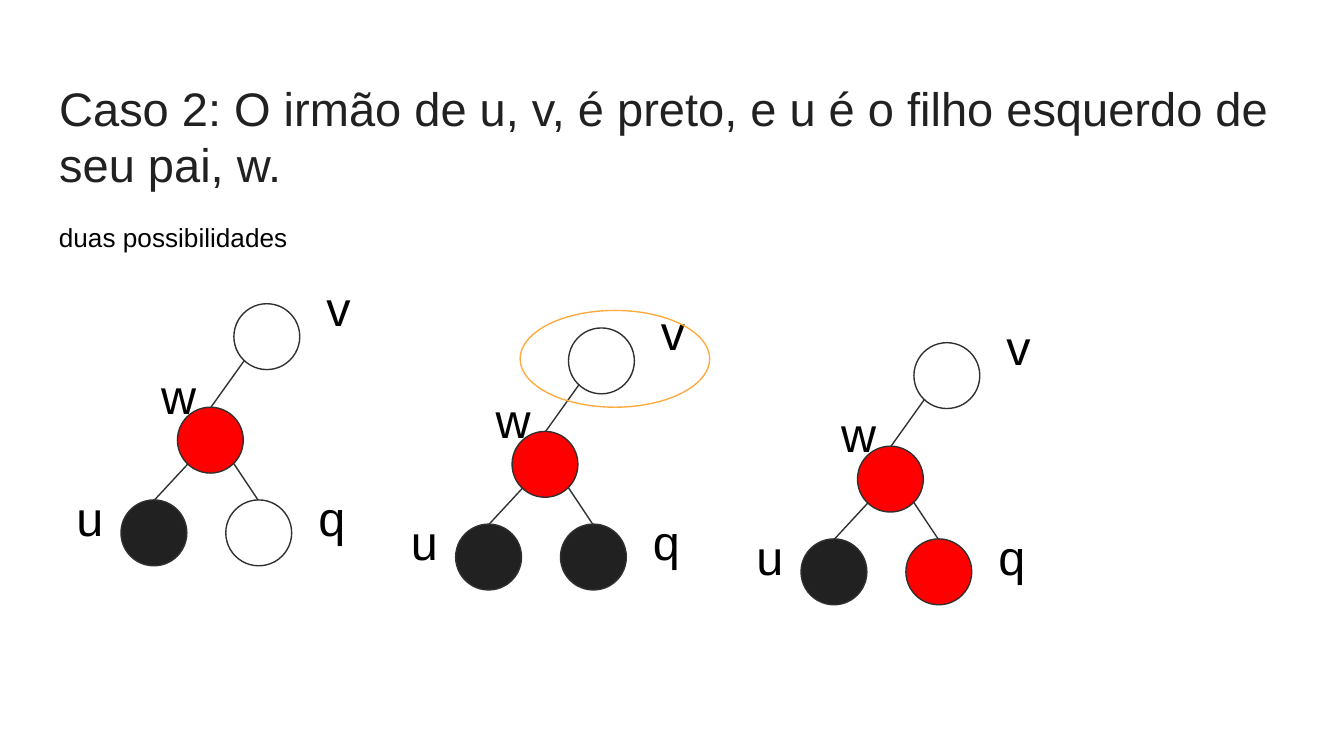
from lxml import etree
from pptx import Presentation
from pptx.dml.color import RGBColor
from pptx.enum.shapes import MSO_CONNECTOR, MSO_SHAPE
from pptx.enum.text import MSO_ANCHOR, MSO_AUTO_SIZE, PP_ALIGN
from pptx.oxml.ns import qn
from pptx.util import Inches, Pt

OVAL = MSO_SHAPE.OVAL
STRAIGHT = MSO_CONNECTOR.STRAIGHT
TOP = MSO_ANCHOR.TOP
LEFT = PP_ALIGN.LEFT
NO_AUTOFIT = MSO_AUTO_SIZE.NONE

COLORS = {
    "title": "212121",
    "text": "000000",
    "outline": "303030",
    "highlight": "FFAB40",
    "red": "FF0000",
    "black": "212121",
    "white": "FFFFFF",
}
FONT = "Arial"
NODE_SIZE = 0.49
NODES = {"w": (0.85, 1.06), "q": (1.21, 1.75), "u": (0.43, 1.75), "v": (1.27, 0.29)}
LABELS = {"u": (0, 1.56), "w": (0.63, 0.65), "v": (1.86, 0), "q": (1.8, 1.56)}
EDGES = [
    (1.35, 0.71, 1.1, 1.06),
    (0.93, 1.48, 0.68, 1.75),
    (1.27, 1.48, 1.45, 1.75),
]
TREES = [
    (0.47, 1.97, "white"),
    (2.96, 2.15, "black"),
    (5.53, 2.26, "red"),
]


def color(name):
    return RGBColor.from_string(COLORS[name])


def write_text(box, text, size, color_name):
    frame = box.text_frame
    frame.word_wrap = True
    frame.auto_size = NO_AUTOFIT
    frame.vertical_anchor = TOP
    frame.margin_left = frame.margin_right = Inches(0.1)
    frame.margin_top = frame.margin_bottom = Inches(0.1)
    para = frame.paragraphs[0]
    para.text = text
    para.alignment = LEFT
    para.font.name = FONT
    para.font.size = Pt(size)
    para.font.color.rgb = color(color_name)


def add_text(page, left, top, width, height, text, size):
    box = page.shapes.add_textbox(
        Inches(left), Inches(top), Inches(width), Inches(height))
    write_text(box, text, size, "text")


def add_ellipse(page, left, top, width, height, line, fill=None):
    ellipse = page.shapes.add_shape(
        OVAL, Inches(left), Inches(top), Inches(width), Inches(height))
    ellipse.shadow.inherit = False
    if fill:
        ellipse.fill.solid()
        ellipse.fill.fore_color.rgb = color(fill)
    else:
        ellipse.fill.background()
    ellipse.line.color.rgb = color(line)
    ellipse.line.width = Pt(0.75)


def add_edge(page, start_x, start_y, end_x, end_y):
    edge = page.shapes.add_connector(
        STRAIGHT, Inches(start_x), Inches(start_y), Inches(end_x), Inches(end_y))
    edge.line.color.rgb = color("outline")
    edge.line.width = Pt(0.75)
    etree.SubElement(edge._element.spPr, qn("a:effectLst"))


def add_heading(page, left, top, width):
    title = page.shapes.title
    title.left, title.top = Inches(left), Inches(top)
    title.width, title.height = Inches(width), Inches(0.63)
    write_text(
        title,
        "Caso 2: O irmão de u, v, é preto, e u é o filho esquerdo de seu pai, w.",
        25.2, "title")
    add_text(page, left, top + 1.06, 2.07, 0.44, "duas possibilidades", 14)


def add_tree(page, left, top, q_fill):
    fills = {"w": "red", "q": q_fill, "u": "black", "v": "white"}
    for name, (x, y) in NODES.items():
        add_ellipse(page, left + x, top + y, NODE_SIZE, NODE_SIZE,
                    "outline", fills[name])
    for start_x, start_y, end_x, end_y in EDGES:
        add_edge(page, left + start_x, top + start_y, left + end_x, top + end_y)
    for name, (x, y) in LABELS.items():
        add_text(page, left + x, top + y, 0.33, 0.64, name, 26)


def main():
    deck = Presentation()
    deck.slide_width = Inches(10)
    deck.slide_height = deck.slide_width * 9 // 16
    page = deck.slides.add_slide(deck.slide_layouts[5])
    add_heading(page, 0.34, 0.49, 9.32)
    for left, top, q_fill in TREES:
        add_tree(page, left, top, q_fill)
    add_ellipse(page, 3.87, 2.31, 1.41, 0.72, "highlight")
    deck.save("out.pptx")


if __name__ == "__main__":
    main()
